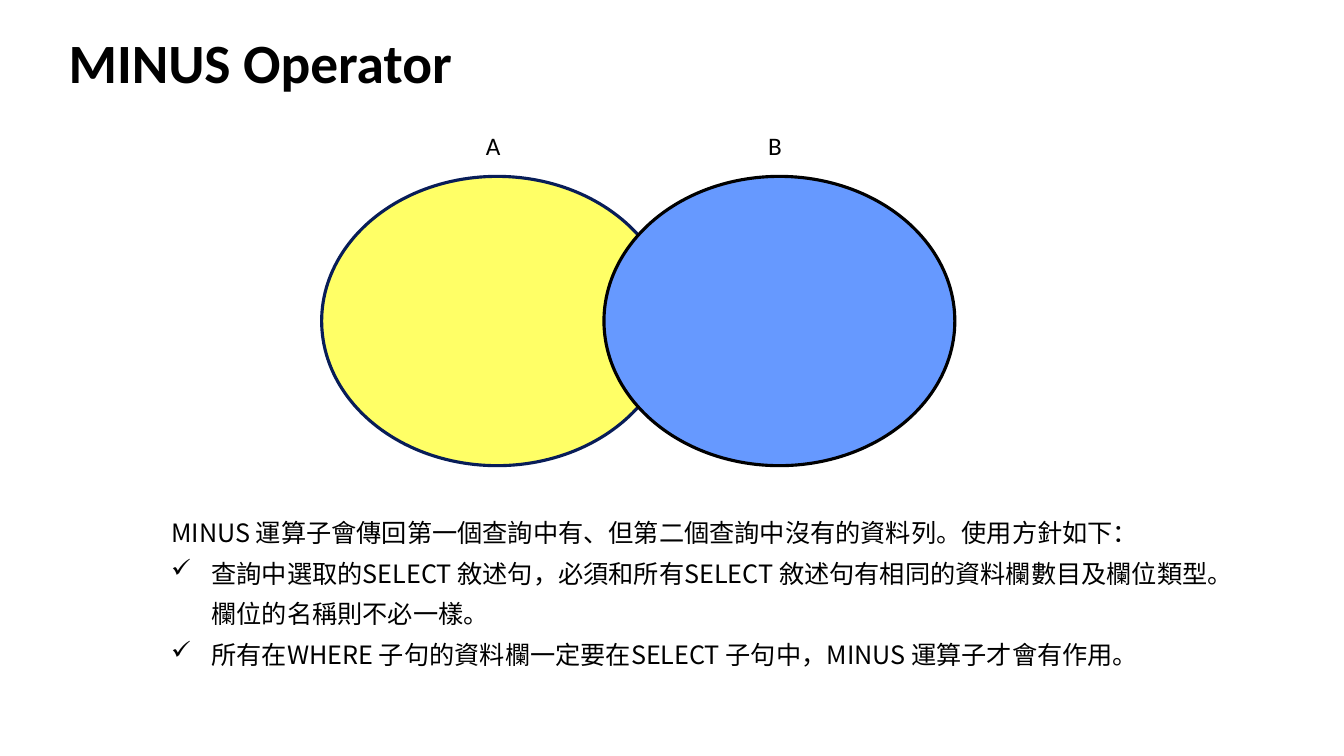
"""Build the MINUS operator slide with two overlapping sets and usage rules."""
import pptx
import pptx.util
import pptx.dml.color
import pptx.enum.shapes
import pptx.enum.text
import lxml.etree
from dataclasses import dataclass

TITLE = "MINUS Operator"
SETS = [("A", "FFFF66", "081D58", 0.29), ("B", "6699FF", "000000", 0.28)]
INTRO = "MINUS 運算子會傳回第一個查詢中有、但第二個查詢中沒有的資料列。使用方針如下："
RULES = [
    "查詢中選取的SELECT 敘述句，必須和所有SELECT 敘述句有相同的資料欄數目及欄位類型。欄位的名稱則不必一樣。",
    "所有在WHERE 子句的資料欄一定要在SELECT 子句中，MINUS 運算子才會有作用。",
]


@dataclass
class Theme:
    ink: str = "000000"
    latin: str = "Calibri"
    cjk: str = "Noto Sans CJK SC"
    head: float = 39.6
    body: float = 18
    lead: float = 29
    edge: float = 2.25
    mark: str = "✓"


LOOK = Theme()
WIDE, HIGH = 13.33, 7.5
LEFT, TOP, STEP = 3.19, 1.75, 2.8
OVAL_W, OVAL_H = 3.48, 2.87
TAG_X, TAG_Y, TAG_H = 1.53, 1.24, 0.36
INDENT = 0.4
Inch, Pt = pptx.util.Inches, pptx.util.Pt


def box(*sides):
    return [Inch(side) for side in sides]


def tint(code):
    return pptx.dml.color.RGBColor.from_string(code)


def write(para, text, size=LOOK.body, face=LOOK.latin, bold=False, lead=None, mark=None):
    props = para._p.get_or_add_pPr()
    if lead:
        para.line_spacing = Pt(lead)
    if mark:
        props.set("marL", str(Inch(INDENT)))
        props.set("indent", str(-Inch(INDENT)))
        bullet = lxml.etree.SubElement(props, pptx.oxml.ns.qn("a:buChar"))
        bullet.set("char", mark)
    para.alignment = pptx.enum.text.PP_ALIGN.LEFT
    run = para.add_run()
    run.text = text
    font = run.font
    font.size, font.name, font.bold = Pt(size), face, bold
    font.color.rgb = tint(LOOK.ink)
    east = lxml.etree.SubElement(run._r.get_or_add_rPr(), pptx.oxml.ns.qn("a:ea"))
    east.set("typeface", face)


def main():
    deck = pptx.Presentation()
    deck.slide_width, deck.slide_height = box(WIDE, HIGH)
    slide = deck.slides.add_slide(deck.slide_layouts[5])
    shapes = slide.shapes

    title = shapes.title
    title.left, title.top, title.width, title.height = box(0.58, 0.3, 12.18, 0.61)
    frame = title.text_frame
    frame.vertical_anchor = pptx.enum.text.MSO_ANCHOR.MIDDLE
    frame.auto_size = pptx.enum.text.MSO_AUTO_SIZE.NONE
    write(frame.paragraphs[0], TITLE, size=LOOK.head, bold=True)

    venn = shapes.add_group_shape().shapes
    for col, (name, fill, edge, wide) in enumerate(SETS):
        left = LEFT + col * STEP
        oval = venn.add_shape(pptx.enum.shapes.MSO_SHAPE.OVAL, *box(left, TOP, OVAL_W, OVAL_H))
        oval.shadow.inherit = False
        oval.fill.solid()
        oval.fill.fore_color.rgb = tint(fill)
        oval.line.color.rgb = tint(edge)
        oval.line.width = Pt(LOOK.edge)
        label = venn.add_textbox(*box(left + TAG_X, TAG_Y, wide, TAG_H)).text_frame
        label.word_wrap = False
        write(label.paragraphs[0], name)

    notes = shapes.add_textbox(*box(1.6, 4.98, 10.6, 2.09)).text_frame
    notes.word_wrap = True
    write(notes.paragraphs[0], INTRO, face=LOOK.cjk, lead=LOOK.lead)
    for rule in RULES:
        write(notes.add_paragraph(), rule, face=LOOK.cjk, lead=LOOK.lead, mark=LOOK.mark)

    deck.save("out.pptx")


if __name__ == "__main__":
    main()
